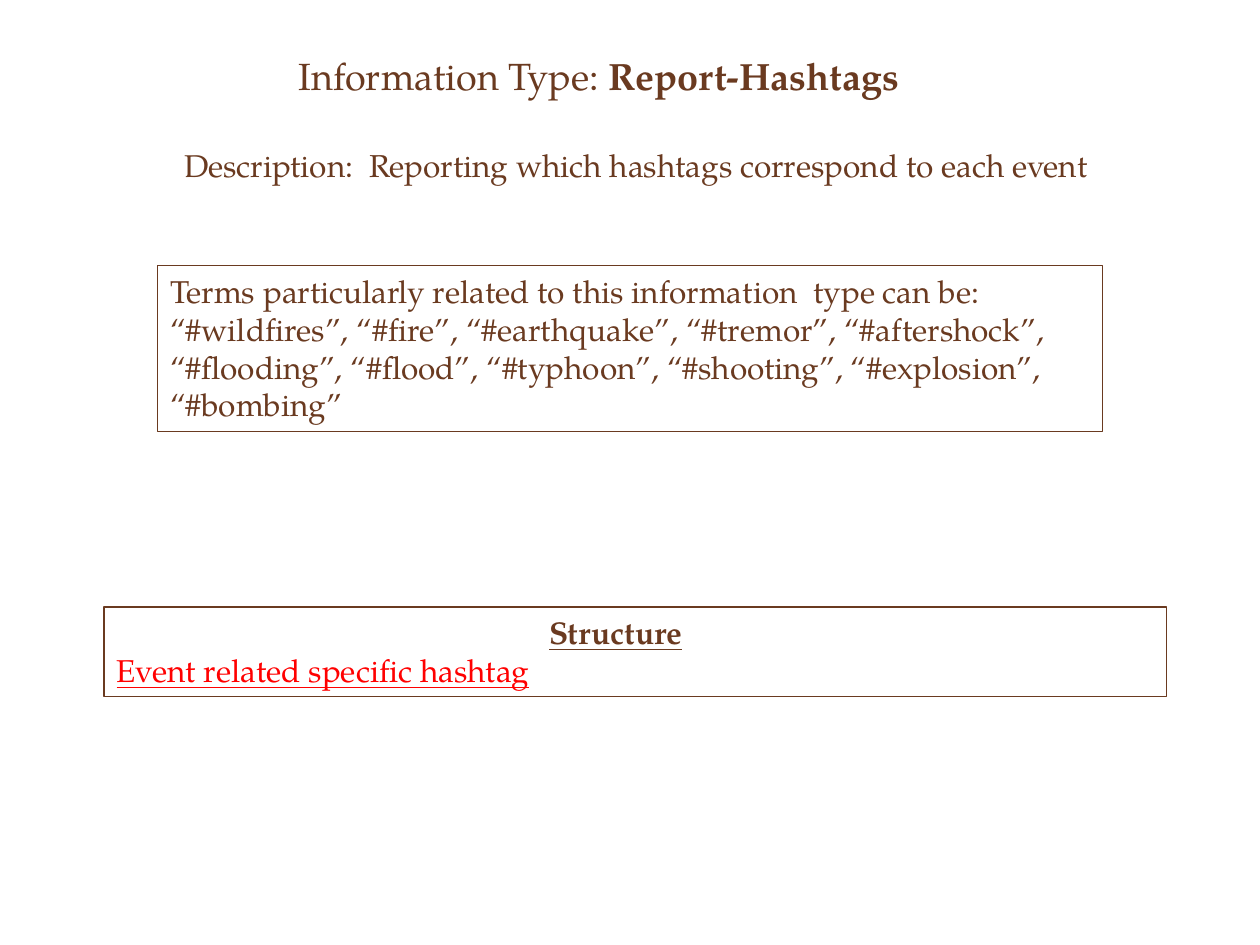
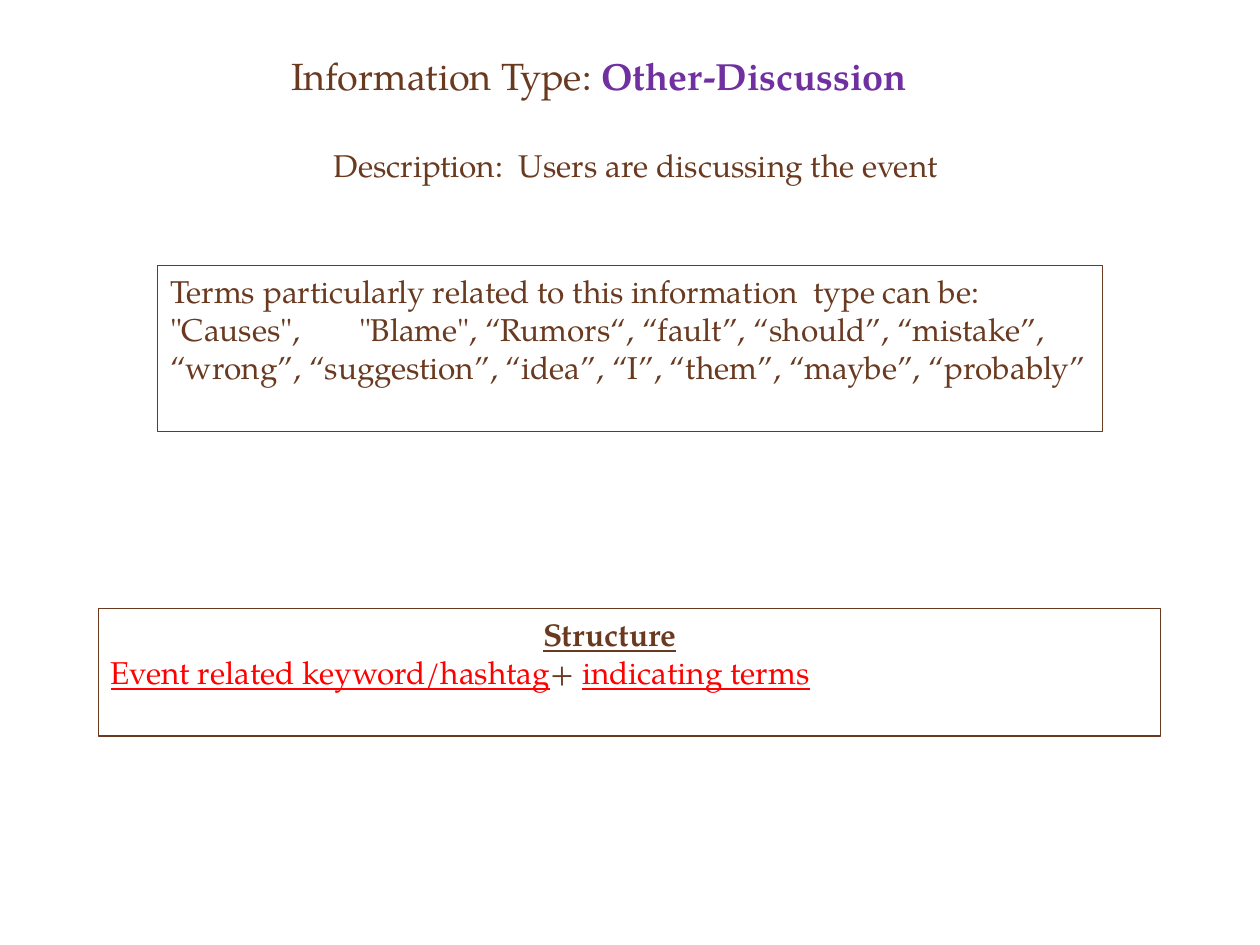
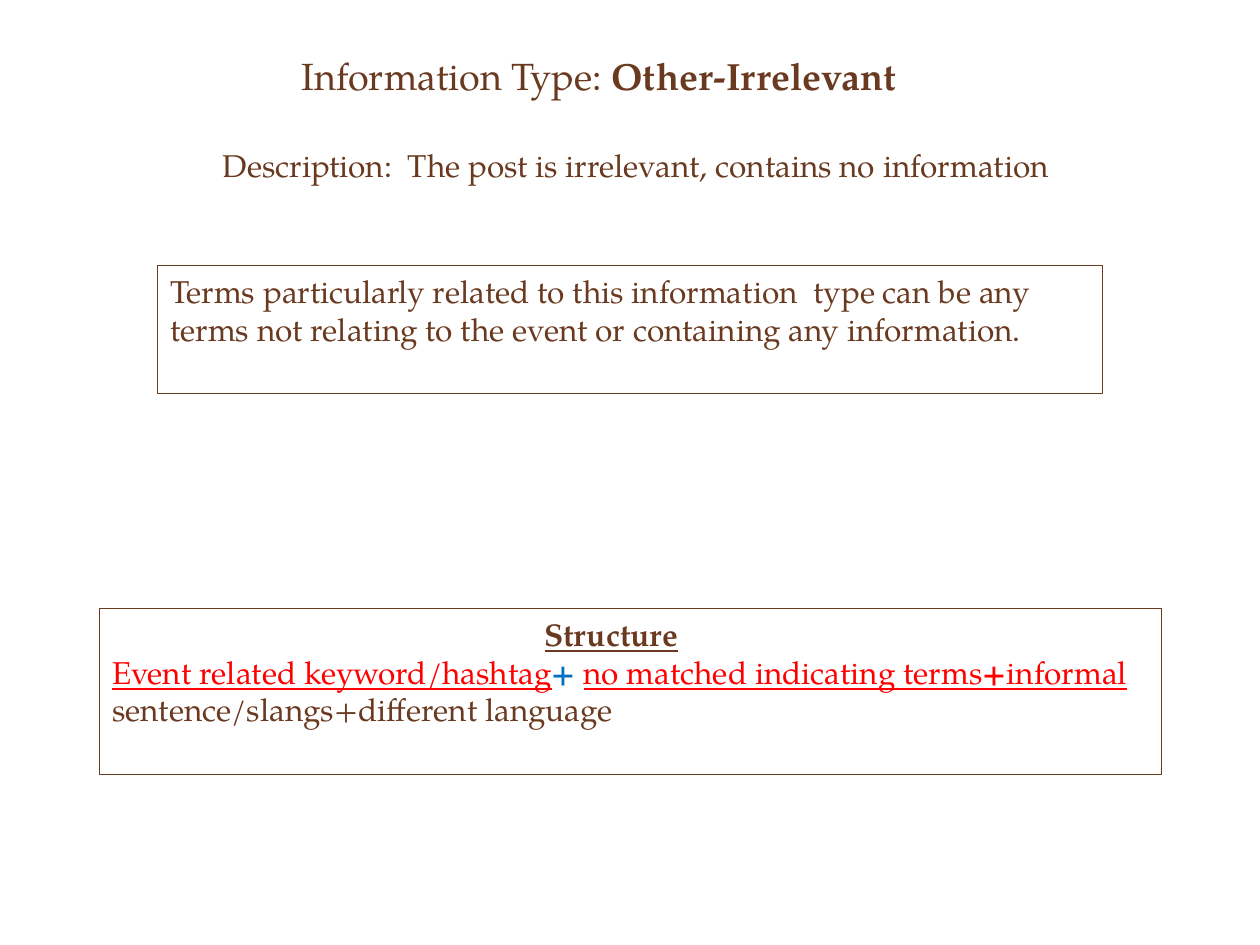
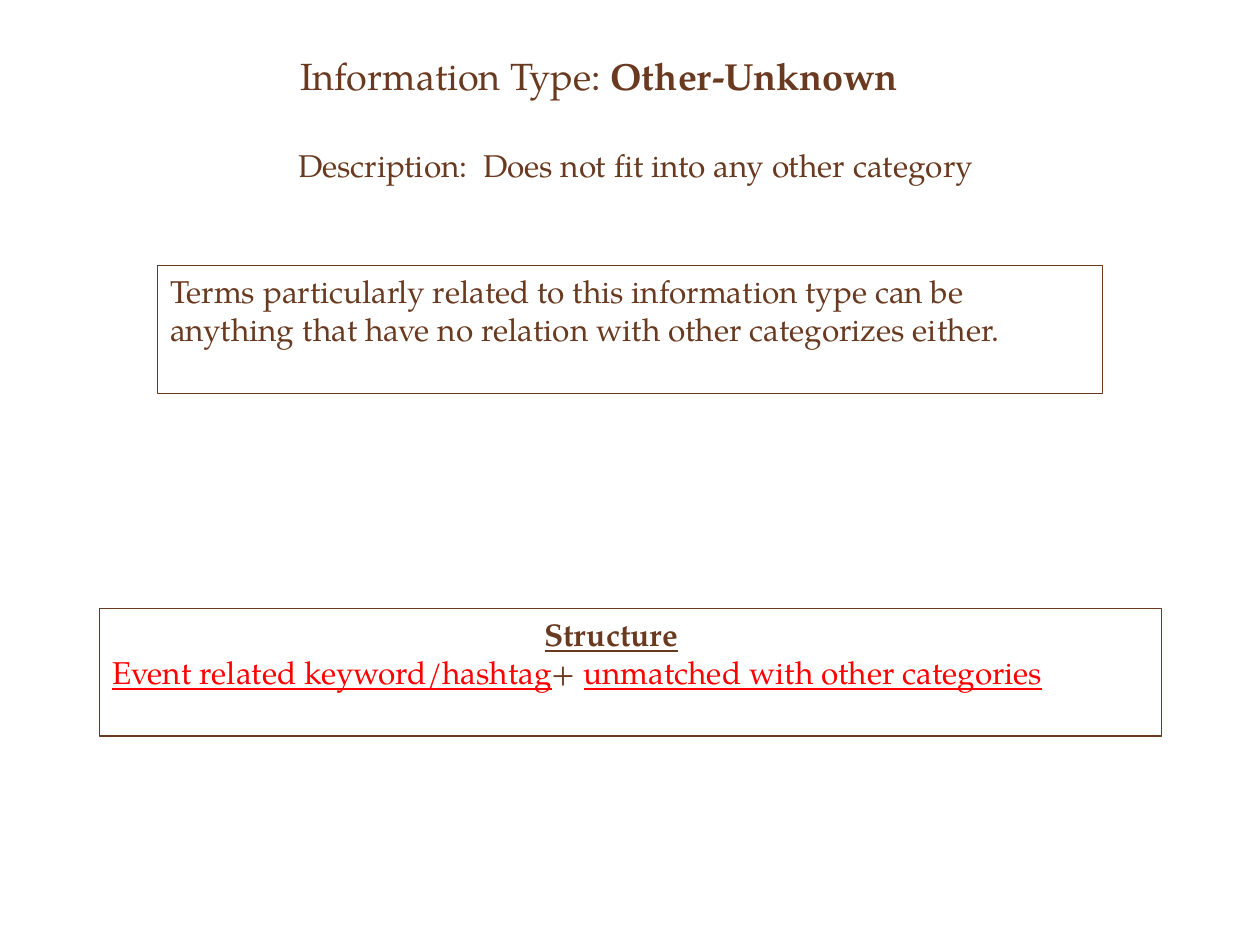
from dataclasses import dataclass
from typing import NamedTuple

from pptx import Presentation
from pptx.dml.color import RGBColor
from pptx.enum.shapes import MSO_SHAPE
from pptx.enum.text import MSO_ANCHOR, MSO_AUTO_SIZE, PP_ALIGN
from pptx.util import Cm, Pt

RECTANGLE = MSO_SHAPE.RECTANGLE
TOP, BOTTOM = MSO_ANCHOR.TOP, MSO_ANCHOR.BOTTOM
NO_AUTOFIT = MSO_AUTO_SIZE.NONE
LEFT, CENTER = PP_ALIGN.LEFT, PP_ALIGN.CENTER
TITLE_ONLY = 5


@dataclass(frozen=True)
class Theme:
    font: str = "TeX Gyre Pagella"
    brown: RGBColor = RGBColor(0x6A, 0x3A, 0x20)
    red: RGBColor = RGBColor(0xFF, 0x00, 0x00)
    blue: RGBColor = RGBColor(0x00, 0x70, 0xC0)
    purple: RGBColor = RGBColor(0x70, 0x30, 0xA0)
    title_size: Pt = Pt(21.6)
    body_size: Pt = Pt(18)
    line_width: Pt = Pt(0.75)


THEME = Theme()


class Span(NamedTuple):
    text: str
    color: RGBColor = THEME.brown
    bold: bool = False
    underline: bool = False


class Box(NamedTuple):
    """A place on the slide, in centimetres."""
    left: float
    top: float
    width: float
    height: float


@dataclass(frozen=True)
class InfoType:
    name: Span
    description: str
    terms: list[str]
    terms_lines: int
    structure: list[Span]
    structure_lines: int
    structure_left: float = 2.01
    structure_top: float = 12.27


TITLE_BOX = Box(4.24, 0.84, 15.67, 1.27)
DESCRIPTION_BOX = Box(2.34, 2.82, 20.96, 1.02)
TERMS_LEFT, TERMS_TOP, TERMS_WIDTH = 3.18, 5.36, 19.05
STRUCTURE_WIDTH = 21.41
STRUCTURE_INDENT = Cm(8.72)
LINE_HEIGHT, BOX_PADDING = 0.77, 0.26

TERMS_LEAD = "Terms particularly related to this information  type can be"
KEYWORD = Span("Event related keyword/hashtag", THEME.red, underline=True)
PLUS = Span("+ ")

INFO_TYPES = [
    InfoType(
        Span("Report-Hashtags", bold=True),
        "Reporting which hashtags correspond to each event",
        [f"{TERMS_LEAD}:",
         "“#wildfires”, “#fire”, “#earthquake”, “#tremor”, “#aftershock”, “#flooding”, "
         "“#flood”, “#typhoon”, “#shooting”, “#explosion”, “#bombing”"],
        4,
        [Span("Event related specific hashtag", THEME.red, underline=True)],
        2, structure_left=2.1, structure_top=12.24),
    InfoType(
        Span("Other-Discussion", THEME.purple, bold=True),
        "Users are discussing the event",
        [f"{TERMS_LEAD}:",
         "\"Causes\",\t\"Blame\", “Rumors“, “fault”, “should”, “mistake”, “wrong”, "
         "“suggestion”, “idea”, “I”, “them”, “maybe”, “probably”"],
        4,
        [KEYWORD, PLUS, Span("indicating terms", THEME.red, underline=True)],
        3, structure_left=1.98),
    InfoType(
        Span("Other-Irrelevant", bold=True),
        "The post is irrelevant, contains no information",
        [f"{TERMS_LEAD} any terms not relating to the event or containing any information."],
        3,
        [KEYWORD,
         Span("+ ", THEME.blue, bold=True),
         Span("no matched indicating terms", THEME.red, underline=True),
         Span("+", THEME.red, bold=True, underline=True),
         Span("informal ", THEME.red, underline=True),
         Span("sentence/slangs+different language")],
        4),
    InfoType(
        Span("Other-Unknown", bold=True),
        "Does not fit into any other category",
        ["Terms particularly related to this information type can be anything "
         "that have no relation with other categorizes either."],
        3,
        [KEYWORD, PLUS, Span("unmatched with other categories", THEME.red, underline=True)],
        3),
]


def place(sp, box: Box) -> None:
    sp.left, sp.top, sp.width, sp.height = (Cm(v) for v in box)


def write(sp, paragraphs: list[list[Span]], size: Pt = THEME.body_size,
          align: PP_ALIGN = LEFT, anchor: MSO_ANCHOR = TOP) -> None:
    tf = sp.text_frame
    tf.word_wrap = True
    tf.auto_size = NO_AUTOFIT
    tf.vertical_anchor = anchor
    for i, spans in enumerate(paragraphs):
        p = tf.add_paragraph() if i else tf.paragraphs[0]
        p.alignment = align
        for span in spans:
            r = p.add_run()
            r.text = span.text
            r.font.name = THEME.font
            r.font.size = size
            r.font.color.rgb = span.color
            r.font.bold = span.bold
            r.font.underline = span.underline


def add_frame(s, left: float, top: float, width: float, lines: int):
    """Add an outlined rectangle tall enough for the given number of lines."""
    height = BOX_PADDING + LINE_HEIGHT * lines
    sp = s.shapes.add_shape(RECTANGLE, Cm(left), Cm(top), Cm(width), Cm(height))
    sp.shadow.inherit = False
    sp.fill.background()
    sp.line.color.rgb = THEME.brown
    sp.line.width = THEME.line_width
    return sp


def add_info_slide(prs, info: InfoType) -> None:
    s = prs.slides.add_slide(prs.slide_layouts[TITLE_ONLY])
    title = s.shapes.title
    place(title, TITLE_BOX)
    write(title, [[Span("Information Type: "), info.name]],
          THEME.title_size, CENTER, BOTTOM)

    description = s.shapes.add_textbox(*(Cm(v) for v in DESCRIPTION_BOX))
    write(description, [[Span(f"Description:  {info.description}")]], align=CENTER)

    terms = add_frame(s, TERMS_LEFT, TERMS_TOP, TERMS_WIDTH, info.terms_lines)
    write(terms, [[Span(text)] for text in info.terms])

    structure = add_frame(s, info.structure_left, info.structure_top,
                          STRUCTURE_WIDTH, info.structure_lines)
    heading = Span("Structure", bold=True, underline=True)
    write(structure, [[heading], info.structure])
    pPr = structure.text_frame.paragraphs[0]._p.get_or_add_pPr()
    pPr.set("marL", str(STRUCTURE_INDENT))


def main() -> None:
    prs = Presentation()
    prs.slide_width, prs.slide_height = Cm(25.4), Cm(19.05)
    for info in INFO_TYPES:
        add_info_slide(prs, info)
    prs.save("out.pptx")


if __name__ == "__main__":
    main()
